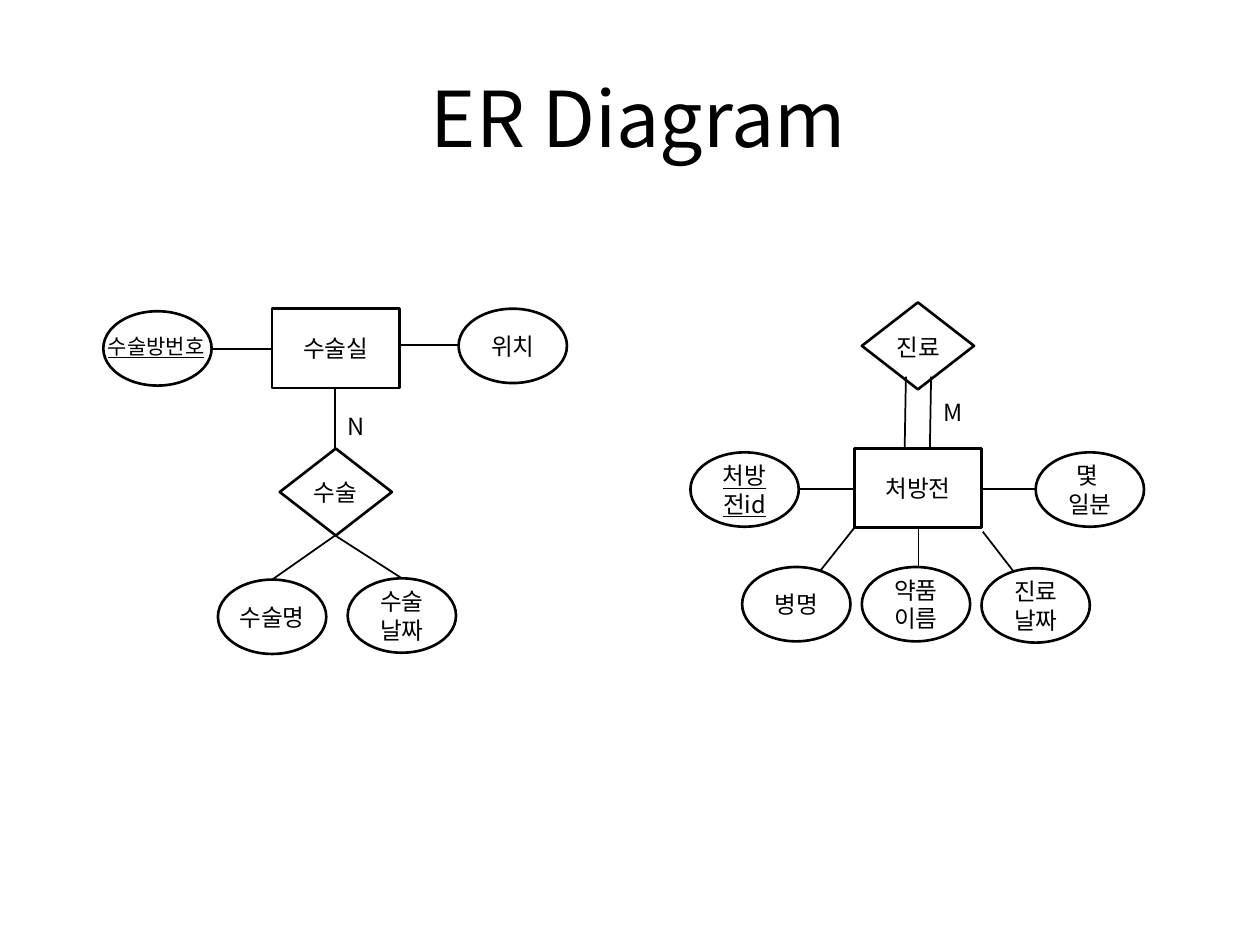
from typing import NamedTuple

from lxml import etree
from pptx import Presentation
from pptx.dml import color
from pptx.enum import shapes, text
from pptx.oxml import ns
from pptx.util import Inches, Pt

FONT = "Noto Sans CJK KR"
BLACK = "000000"
WHITE = "FFFFFF"
BODY_SIZE = 13.5
ATTRIBUTE_SIZE = (0.86, 0.59)
ENTITY_SIZE = (1.01, 0.63)
RELATION_SIZE = (0.89, 0.69)
CAPTION_SIZE = (1.18, 0.35)
CARDINALITY_SIZE = (0.32, 0.33)


class Node(NamedTuple):
    left: float
    top: float
    words: str = ""
    underline: bool = False


class Link(NamedTuple):
    x1: float
    y1: float
    x2: float
    y2: float


class Label(NamedTuple):
    left: float
    top: float
    words: str
    size: float = BODY_SIZE
    underline: bool = False


ENTITIES = [Node(6.78, 3.56, "처방전"), Node(2.16, 2.45, "수술실")]
RELATIONS = [Node(6.84, 2.4), Node(2.22, 3.56)]
ATTRIBUTES = [
    Node(5.48, 3.59, "처방전id", True),
    Node(7.79, 4.51, "진료날짜"),
    Node(5.89, 4.5, "병명"),
    Node(6.84, 4.5, "약품이름"),
    Node(8.22, 3.59, "몇 \n일분"),
    Node(2.76, 4.59, "수술\n날짜"),
    Node(0.82, 2.47),
    Node(3.64, 2.45, "위치"),
    Node(1.73, 4.6),
]
LINKS = [
    Link(7.29, 4.19, 7.29, 4.5),
    Link(6.78, 4.19, 6.51, 4.53),
    Link(7.8, 4.22, 8.04, 4.53),
    Link(7.79, 3.88, 8.22, 3.88),
    Link(6.78, 3.88, 6.35, 3.88),
    Link(7.18, 3.56, 7.19, 2.99),
    Link(7.38, 3.56, 7.39, 2.99),
    Link(3.19, 4.59, 2.66, 4.25),
    Link(2.16, 4.6, 2.66, 4.25),
    Link(1.69, 2.77, 2.16, 2.77),
    Link(3.18, 2.74, 3.65, 2.74),
    Link(2.66, 3.56, 2.66, 3.08),
]
CAPTIONS = [
    Label(2.07, 3.73, "수술"),
    Label(1.57, 4.72, "수술명"),
    Label(0.65, 2.57, "수술방번호", 12, True),
    Label(6.7, 2.58, "진료"),
]
CARDINALITIES = [Label(2.66, 3.22, "N"), Label(7.39, 3.11, "M")]
TITLE = Label(0.5, 0.3, " ER Diagram", 44)


def rgb(value: str) -> color.RGBColor:
    return color.RGBColor.from_string(value)


def write(frame, words: str, size: float, underline: bool, align) -> None:
    frame.text = words
    frame.word_wrap = True
    for paragraph in frame.paragraphs:
        paragraph.alignment = align
        for run in paragraph.runs:
            run.font.name = FONT
            run.font.size = Pt(size)
            run.font.color.rgb = rgb(BLACK)
            if underline:
                run.font.underline = True
            etree.SubElement(run.font._element, ns.qn("a:ea"), typeface=FONT)


def draw_node(slide, node: Node, kind, extent: tuple[float, float], filled: bool = True) -> None:
    shape = slide.shapes.add_shape(kind, *map(Inches, (node.left, node.top, *extent)))
    shape.shadow.inherit = False
    shape.line.color.rgb = rgb(BLACK)
    shape.line.width = Pt(1.5)
    if filled:
        shape.fill.solid()
        shape.fill.fore_color.rgb = rgb(WHITE)
    else:
        shape.fill.background()
    if node.words:
        shape.text_frame.vertical_anchor = text.MSO_ANCHOR.MIDDLE
        write(shape.text_frame, node.words, BODY_SIZE, node.underline, text.PP_ALIGN.CENTER)


def draw_link(slide, link: Link) -> None:
    line = slide.shapes.add_connector(shapes.MSO_CONNECTOR.STRAIGHT, *map(Inches, link))
    line.line.color.rgb = rgb(BLACK)
    line.line.width = Pt(1)
    etree.SubElement(line._element.spPr, ns.qn("a:effectLst"))


def draw_label(slide, label: Label, extent: tuple[float, float], centred: bool = True) -> None:
    box = slide.shapes.add_textbox(*map(Inches, (label.left, label.top, *extent)))
    frame = box.text_frame
    if centred:
        frame.vertical_anchor = text.MSO_ANCHOR.MIDDLE
    else:
        frame.auto_size = text.MSO_AUTO_SIZE.SHAPE_TO_FIT_TEXT
    align = text.PP_ALIGN.CENTER if centred else text.PP_ALIGN.LEFT
    write(frame, label.words, label.size, label.underline, align)


def main() -> None:
    deck = Presentation()
    deck.slide_width, deck.slide_height = Inches(10), Inches(7.5)
    slide = deck.slides.add_slide(deck.slide_layouts[6])

    draw_label(slide, TITLE, (9, 1.25))
    for relation in RELATIONS:
        draw_node(slide, relation, shapes.MSO_SHAPE.DIAMOND, RELATION_SIZE, filled=False)
    for entity in ENTITIES:
        draw_node(slide, entity, shapes.MSO_SHAPE.RECTANGLE, ENTITY_SIZE)
    for attribute in ATTRIBUTES:
        draw_node(slide, attribute, shapes.MSO_SHAPE.OVAL, ATTRIBUTE_SIZE)
    for link in LINKS:
        draw_link(slide, link)
    for caption in CAPTIONS:
        draw_label(slide, caption, CAPTION_SIZE)
    for cardinality in CARDINALITIES:
        draw_label(slide, cardinality, CARDINALITY_SIZE, centred=False)

    deck.save("out.pptx")


if __name__ == "__main__":
    main()
